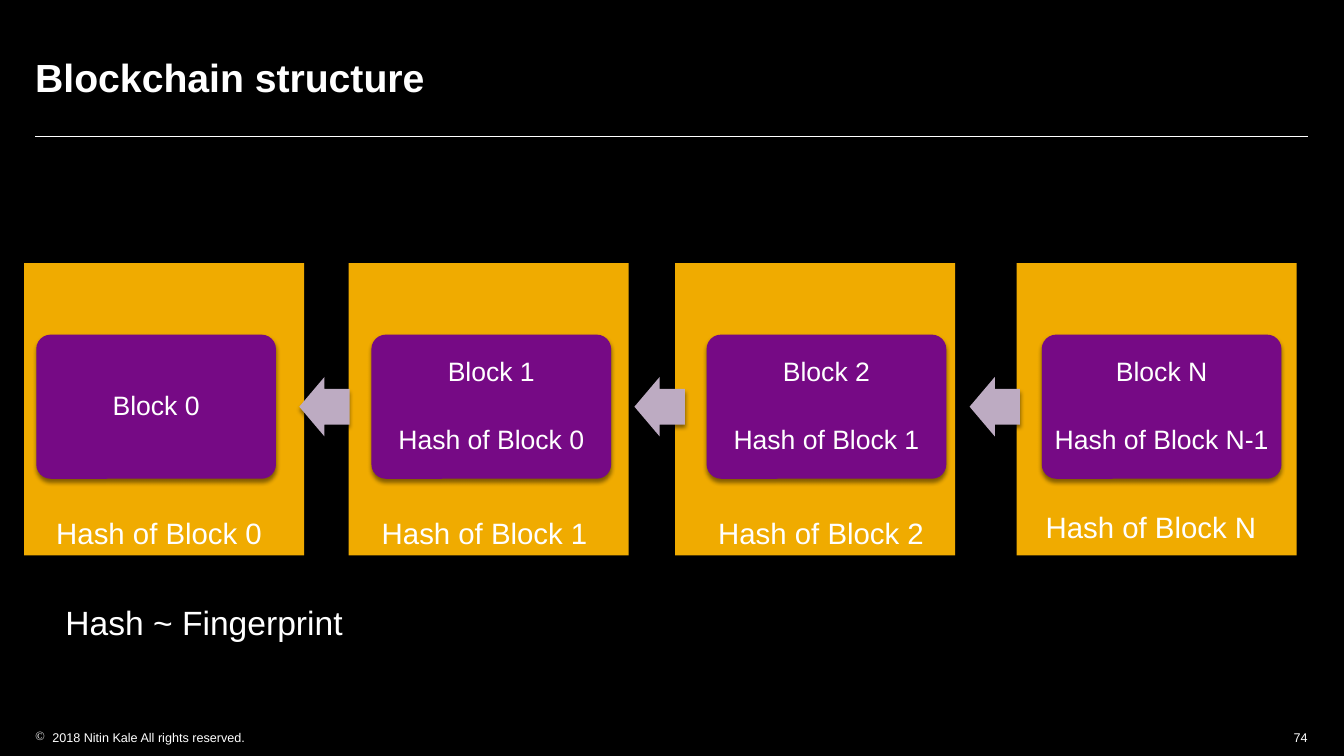
from dataclasses import dataclass

from lxml import etree
from pptx import Presentation, util as u
from pptx.dml.color import RGBColor
from pptx.enum import shapes, text
from pptx.oxml.ns import qn


@dataclass(frozen=True)
class Theme:
    font: str = "Arial"
    background: str = "000000"
    ink: str = "FFFFFF"
    panel: str = "F0AB00"
    block: str = "760A85"
    arrow: str = "BDABC2"
    title: int = 28
    caption: int = 24
    label: int = 21
    body: int = 19
    footer: int = 9


@dataclass(frozen=True)
class Box:
    x: int
    y: int
    w: int
    h: int

    def share(self, x, y, w, h):
        return Box(int(self.x + self.w * x / 100), int(self.y + self.h * y / 100),
                   int(self.w * w / 100), int(self.h * h / 100))

    @property
    def place(self):
        return self.x, self.y, self.w, self.h


THEME = Theme()
CHAIN = [
    ("0", None, 0, 1.74, 84.48),
    ("1", "0", 25.5, 27.32, 84.48),
    ("2", "1", 51.15, 53.76, 84.48),
    ("N", "N-1", 77.99, 79.49, 82.41),
]
BLOCK_PITCH = 26.34


def color(value):
    return RGBColor.from_string(value)


def style(paragraph, size, bold=False):
    paragraph.font.name = THEME.font
    paragraph.font.size = u.Pt(size)
    paragraph.font.bold = bold
    paragraph.font.color.rgb = color(THEME.ink)


def set_margins(frame, x, y):
    frame.margin_left = frame.margin_right = u.Inches(x)
    frame.margin_top = frame.margin_bottom = u.Inches(y)


def add_text(slide, box, words, size, bold=False, margins=(0, 0), wrap=True):
    frame = slide.shapes.add_textbox(*box.place).text_frame
    frame.word_wrap = wrap
    set_margins(frame, *margins)
    paragraph = frame.paragraphs[0]
    paragraph.text = words
    style(paragraph, size, bold)
    return frame


def add_figure(slide, kind, box, fill, shadowed=True):
    figure = slide.shapes.add_shape(kind, *box.place)
    figure.fill.solid()
    figure.fill.fore_color.rgb = color(fill)
    figure.line.fill.background()
    figure.shadow.inherit = False
    if shadowed:
        effects = figure._element.spPr.find(qn("a:effectLst"))
        shadow = etree.SubElement(effects, qn("a:outerShdw"), blurRad="38100",
                                  dist="30480", dir="5400000", rotWithShape="0")
        tint = etree.SubElement(shadow, qn("a:srgbClr"), val="000000")
        etree.SubElement(tint, qn("a:alpha"), val="45000")
    return figure


def add_header(slide, box):
    title = add_text(slide, box.share(0, 0, 100, 83), "Blockchain structure", THEME.title, True)
    title.vertical_anchor = text.MSO_ANCHOR.MIDDLE
    bottom = box.y + box.h
    rule = slide.shapes.add_connector(shapes.MSO_CONNECTOR.STRAIGHT,
                                      box.x, bottom, box.x + box.w, bottom)
    rule.line.color.rgb = color(THEME.ink)
    rule.line.width = u.Pt(0.5)
    etree.SubElement(rule._element.spPr, qn("a:effectLst"))


def add_block(slide, box, name, previous):
    block = add_figure(slide, shapes.MSO_SHAPE.ROUNDED_RECTANGLE, box, THEME.block)
    block.adjustments[0] = 0.1
    frame = block.text_frame
    frame.word_wrap = True
    frame.vertical_anchor = text.MSO_ANCHOR.MIDDLE
    set_margins(frame, 0.08, 0.08)
    frame.text = f"Block {name}"
    if previous:
        follower = frame.add_paragraph()
        follower.text = f"Hash of Block {previous}"
        follower.space_before = u.Pt(28)
    for paragraph in frame.paragraphs:
        paragraph.alignment = text.PP_ALIGN.CENTER
        paragraph.line_spacing = 0.9
        style(paragraph, THEME.body)


def add_chain(slide, box):
    for name, _, panel_x, label_x, label_y in CHAIN:
        add_figure(slide, shapes.MSO_SHAPE.RECTANGLE,
                   box.share(panel_x, 0, 22.01, 100), THEME.panel, shadowed=False)
        add_text(slide, box.share(label_x, label_y, 20, 15.52), f"Hash of Block {name}",
                 THEME.label, margins=(0.1, 0.05))
    for i, (name, previous, *_) in enumerate(CHAIN):
        shift = i * BLOCK_PITCH
        add_block(slide, box.share(0.95 + shift, 24.48, 18.84, 49.31), name, previous)
        if i < len(CHAIN) - 1:
            arrow = add_figure(slide, shapes.MSO_SHAPE.LEFT_ARROW,
                               box.share(21.62 + shift, 38.97, 3.96, 20.34), THEME.arrow)
            arrow.adjustments[0] = 0.6
            arrow.adjustments[1] = 0.5


def add_footer(slide, box):
    rights = add_text(slide, box.share(0, 0, 40, 100), "", THEME.footer)
    paragraph = rights.paragraphs[0]
    properties = paragraph._p.get_or_add_pPr()
    properties.set("marL", str(u.Inches(0.17)))
    properties.set("indent", str(-u.Inches(0.17)))
    properties.insert(0, properties.makeelement(qn("a:buChar"), {"char": "©"}))
    paragraph.text = "2018 Nitin Kale All rights reserved."
    style(paragraph, THEME.footer)
    number = add_text(slide, box.share(95, 0, 5, 100), "74", THEME.footer)
    number.paragraphs[0].alignment = text.PP_ALIGN.RIGHT


def main():
    deck = Presentation()
    deck.slide_width, deck.slide_height = u.Inches(13.34), u.Inches(7.5)
    slide = deck.slides.add_slide(deck.slide_layouts[6])
    slide.background.fill.solid()
    slide.background.fill.fore_color.rgb = color(THEME.background)
    page = Box(0, 0, deck.slide_width, deck.slide_height)
    add_header(slide, page.share(2.62, 4.67, 94.68, 13.33))
    add_chain(slide, page.share(1.8, 34.8, 94.68, 38.67))
    add_text(slide, page.share(4.87, 79.6, 20.84, 5.33), "Hash ~ Fingerprint",
             THEME.caption, wrap=False)
    add_footer(slide, page.share(2.62, 96.53, 94.68, 2))
    deck.save("out.pptx")


if __name__ == "__main__":
    main()
